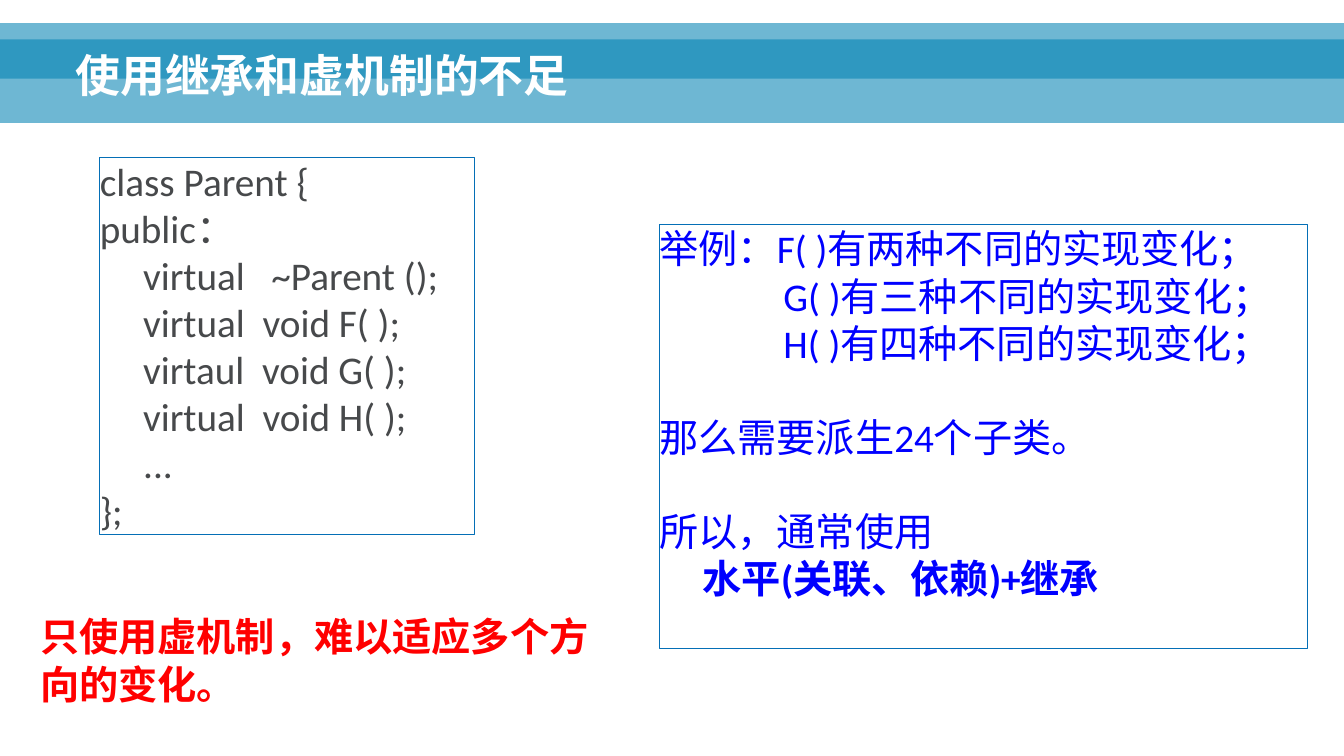
from pptx import Presentation
from pptx.dml.color import RGBColor
from pptx.enum.shapes import MSO_SHAPE
from pptx.enum.text import MSO_ANCHOR, PP_ALIGN
from pptx.oxml.ns import qn
from pptx.util import Inches, Pt
from lxml.etree import SubElement

BAND_BLUE = RGBColor(0x00, 0x82, 0xB3)
BORDER_BLUE = RGBColor(0x04, 0x6F, 0xB6)
TEXT_BLUE = RGBColor(0x00, 0x00, 0xFF)
CODE_GREY = RGBColor(0x47, 0x49, 0x4B)
RED = RGBColor(0xFF, 0x00, 0x00)
WHITE = RGBColor(0xFF, 0xFF, 0xFF)

HANG = 0.43
CASE_INDENT = 1.23
LINE_GAP = 33.6

TITLE = "使用继承和虚机制的不足"
WARNING = "只使用虚机制，难以适应多个方向的变化。"
BANDS = [(0.39, 0.83), (0.23, 0.55)]

# (text, left margin, first-line indent, space before)
CODE = [
    ("class Parent {", HANG, -HANG, 0),
    ("public：\vvirtual   ~Parent ();\vvirtual  void F( );\v"
     "virtaul  void G( );\vvirtual  void H( );\v...", HANG, -HANG, 0),
    ("};", HANG, -HANG, 0),
]
EXAMPLE = [
    ("举例：F( )有两种不同的实现变化；", HANG, -HANG, 0),
    ("G( )有三种不同的实现变化；", CASE_INDENT, 0, 0),
    ("H( )有四种不同的实现变化；", CASE_INDENT, 0, 0),
    ("那么需要派生24个子类。", HANG, -HANG, LINE_GAP),
    ("所以，通常使用\v水平(关联、依赖)+继承", HANG, -HANG, LINE_GAP),
]


def add_band(page, top, height):
    band = page.shapes.add_shape(MSO_SHAPE.RECTANGLE, 0, Inches(top), Inches(13.33), Inches(height))
    band.shadow.inherit = False
    band.line.fill.background()
    band.fill.solid()
    band.fill.fore_color.rgb = BAND_BLUE
    color = band.fill._xPr.find(qn("a:solidFill"))[0]
    SubElement(color, qn("a:alpha")).set("val", "57000")


def style_runs(para, font, size, color, bold=False):
    for span in para.runs:
        span.font.name = font
        span.font.size = Pt(size)
        span.font.color.rgb = color
        span.font.bold = bold


def add_text(page, text, place, font, size, color, anchor):
    box = page.shapes.add_textbox(*map(Inches, place))
    frame = box.text_frame
    frame.word_wrap = True
    frame.vertical_anchor = anchor
    frame.text = text
    style_runs(frame.paragraphs[0], font, size, color, True)
    return frame.paragraphs[0]


def add_panel(page, lines, place, color, filled):
    panel = page.shapes.add_shape(MSO_SHAPE.RECTANGLE, *map(Inches, place))
    panel.shadow.inherit = False
    panel.line.color.rgb = BORDER_BLUE
    panel.line.width = Pt(0.75)
    if filled:
        panel.fill.solid()
        panel.fill.fore_color.rgb = WHITE
    else:
        panel.fill.background()
    frame = panel.text_frame
    frame.word_wrap = True
    frame.vertical_anchor = MSO_ANCHOR.TOP
    frame.margin_left = frame.margin_right = frame.margin_top = frame.margin_bottom = 0
    for index, (text, margin, indent, before) in enumerate(lines):
        para = frame.add_paragraph() if index else frame.paragraphs[0]
        para.text = text
        para.alignment = PP_ALIGN.LEFT
        properties = para._p.get_or_add_pPr()
        properties.set("marL", str(Inches(margin)))
        properties.set("indent", str(Inches(indent)))
        if before:
            para.space_before = Pt(before)
        style_runs(para, "Calibri", 28, color)
    return frame


def main():
    deck = Presentation()
    deck.slide_width, deck.slide_height = Inches(13.33), Inches(7.5)
    page = deck.slides.add_slide(deck.slide_layouts[6])
    for top, height in BANDS:
        add_band(page, top, height)
    title = add_text(page, TITLE, (0.65, 0.19, 11.98, 0.87), "Arial", 32, WHITE, MSO_ANCHOR.BOTTOM)
    title.line_spacing = 0.9
    example = add_panel(page, EXAMPLE, (6.54, 2.23, 6.43, 4.2), TEXT_BLUE, False)
    example.paragraphs[-1].runs[-1].font.bold = True
    add_text(page, WARNING, (0.3, 6.03, 5.91, 1.03), "Calibri", 28, RED, MSO_ANCHOR.TOP)
    add_panel(page, CODE, (0.99, 1.56, 3.72, 3.74), CODE_GREY, True)
    deck.save("out.pptx")


if __name__ == "__main__":
    main()
